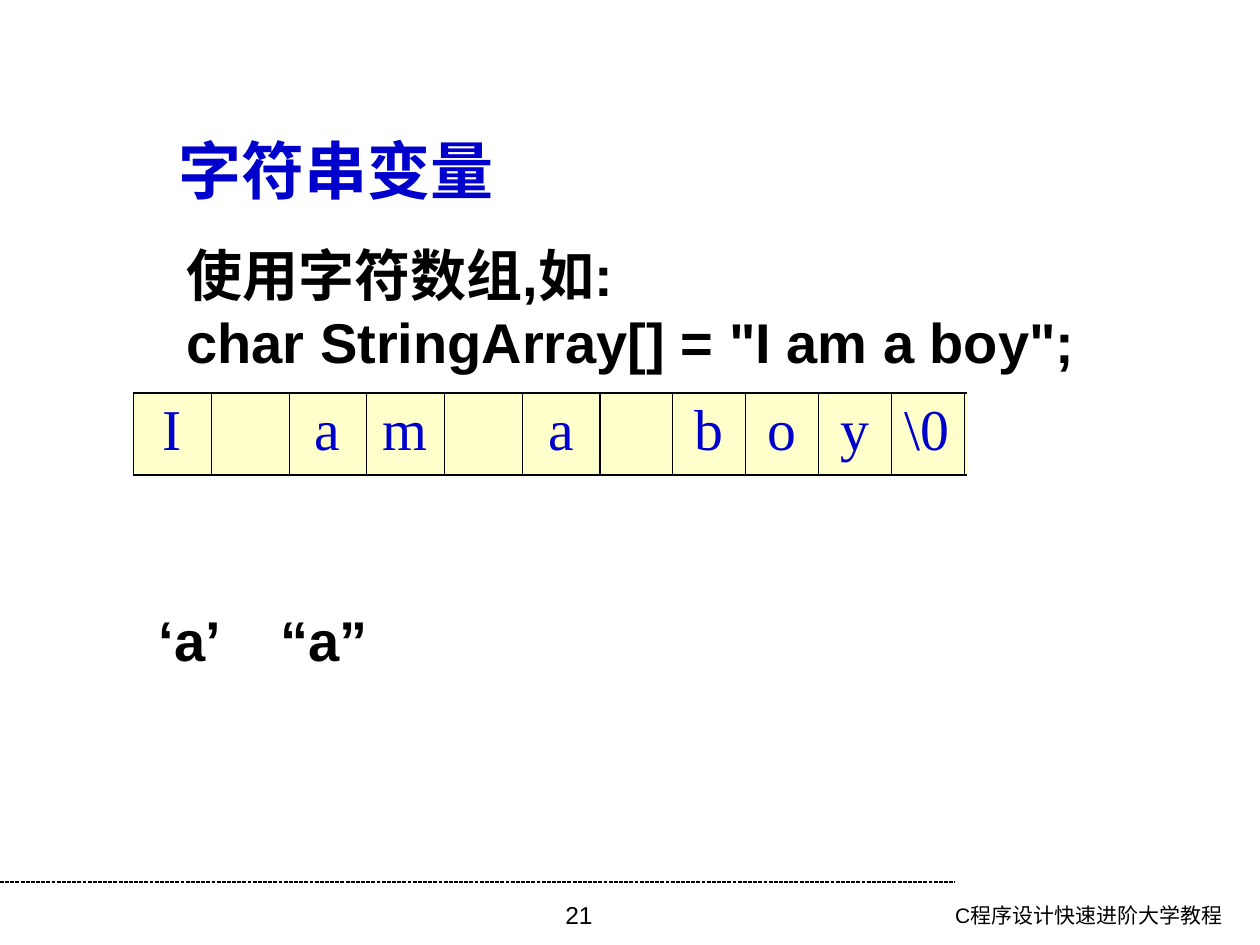
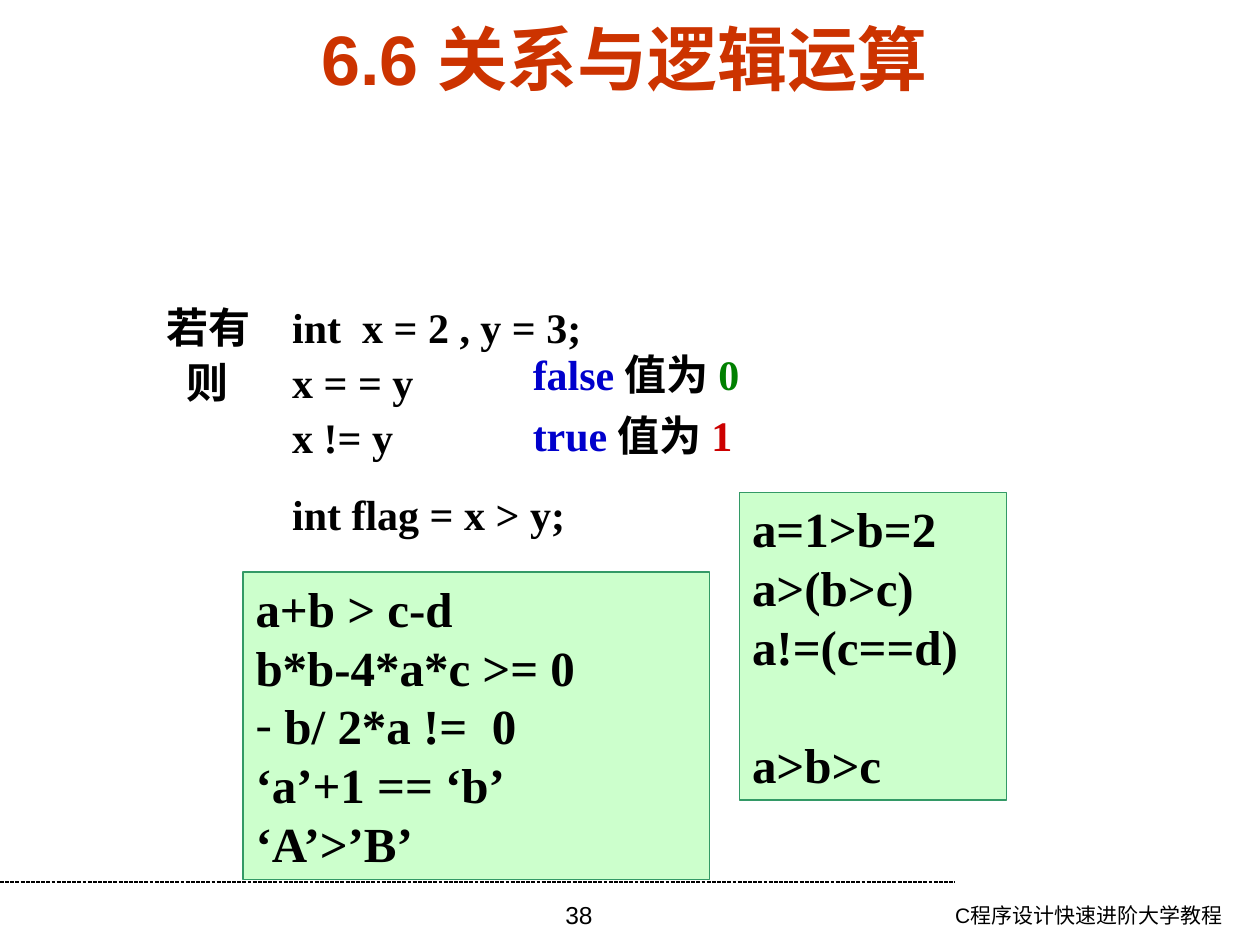
from lxml import etree
from pptx import Presentation
from pptx.dml.color import RGBColor
from pptx.enum.dml import MSO_LINE
from pptx.enum.shapes import MSO_CONNECTOR, MSO_SHAPE
from pptx.enum.text import MSO_ANCHOR, MSO_AUTO_SIZE, PP_ALIGN
from pptx.oxml.ns import qn
from pptx.util import Inches, Pt

BLACK, WHITE, BLUE = "000000", "FFFFFF", "0000CC"
SANS, SERIF = "Arial", "Times New Roman"


def color(hex_code):
    return RGBColor.from_string(hex_code)


def write(frame, paragraphs, size, font=SANS, bold=True, ink=BLACK,
          align=PP_ALIGN.LEFT, anchor=MSO_ANCHOR.TOP, tabs=()):
    """Fill a frame; a paragraph is a string or a list of (text, colour) runs."""
    frame.word_wrap = True
    frame.auto_size = MSO_AUTO_SIZE.NONE
    frame.vertical_anchor = anchor
    for i, content in enumerate(paragraphs):
        paragraph = frame.paragraphs[0] if i == 0 else frame.add_paragraph()
        paragraph.alignment = align
        if tabs:
            stops = etree.SubElement(paragraph._p.get_or_add_pPr(), qn("a:tabLst"))
            for stop in tabs:
                etree.SubElement(stops, qn("a:tab"), pos=str(Inches(stop)), algn="l")
        paragraph.font.size, paragraph.font.name = Pt(size), font
        paragraph.font.bold = bold
        if isinstance(content, str):
            paragraph.text = content
            paragraph.font.color.rgb = color(ink)
        else:
            for text, run_ink in content:
                run = paragraph.add_run()
                run.text = text
                run.font.color.rgb = color(run_ink)


prs = Presentation()
prs.slide_width, prs.slide_height = Inches(10), Inches(7.5)

# Title, footer rule, course name and page number of each slide
pages = [
    ("21", "字符串变量", (1.32, 0.99, 3, 0.7), 36, BLUE, PP_ALIGN.LEFT),
    ("38", "6.6 关系与逻辑运算", (0.43, 0.21, 9.05, 0.5), 40, "CC3300", PP_ALIGN.CENTER),
]
for number, heading, place, size, ink, align in pages:
    slide = prs.slides.add_slide(prs.slide_layouts[5])
    title = slide.shapes.title
    title.left, title.top, title.width, title.height = map(Inches, place)
    write(title.text_frame, [heading], size, ink=ink, align=align, anchor=MSO_ANCHOR.MIDDLE)

    rule = slide.shapes.add_connector(
        MSO_CONNECTOR.STRAIGHT, 0, Inches(7), Inches(7.58), Inches(7))
    rule.line.color.rgb = color(BLACK)
    rule.line.width = Pt(0.75)
    rule.line.dash_style = MSO_LINE.SQUARE_DOT
    etree.SubElement(rule._element.spPr, qn("a:effectLst"))

    course = slide.shapes.add_textbox(Inches(6.57), Inches(7.11), Inches(3.23), Inches(0.39))
    write(course.text_frame, ["C程序设计快速进阶大学教程"], 12, bold=False, align=PP_ALIGN.RIGHT)
    page = slide.shapes.add_textbox(Inches(3.43), Inches(7.09), Inches(2.33), Inches(0.41))
    write(page.text_frame, [number], 14, bold=False, align=PP_ALIGN.CENTER)

strings, relations = prs.slides

# Slide 1: string variables
declaration = strings.shapes.add_textbox(Inches(1.38), Inches(1.86), Inches(7.8), Inches(1.17))
write(declaration.text_frame, ["使用字符数组,如:", 'char StringArray[] = "I am a boy";'], 32)

memory = [
    (1.06, 3.7, ["I", "", "a", "m", "", "a"]),
    (4.76, 3.47, ["", "b", "o", "y", "\\0", ""]),
]
for left, width, characters in memory:
    count = len(characters)
    array = strings.shapes.add_table(
        1, count, Inches(left), Inches(3.12), Inches(width), Inches(0.65)).table
    for i, character in enumerate(characters):
        array.columns[i].width = Inches(width / count)
        cell = array.cell(0, i)
        write(cell.text_frame, [character], 33, SERIF, False, BLUE, PP_ALIGN.CENTER)
        properties = cell._tc.get_or_add_tcPr()
        borders = {"L": 1.08 if i == 0 else 0.45,
                   "R": 1.08 if i == count - 1 else 0.45,
                   "T": 1.08, "B": 1.08}
        for side, points in borders.items():
            edge = etree.SubElement(properties, qn(f"a:ln{side}"), w=str(Pt(points)))
            fill = etree.SubElement(edge, qn("a:solidFill"))
            etree.SubElement(fill, qn("a:srgbClr"), val=BLACK)
        cell.fill.solid()
        cell.fill.fore_color.rgb = color("FFFFCC")

# The white block cuts the array off after the terminator
array_end = strings.shapes.add_shape(
    MSO_SHAPE.RECTANGLE, Inches(7.68), Inches(3.04), Inches(1.97), Inches(1.65))
array_end.shadow.inherit = False
array_end.fill.solid()
array_end.fill.fore_color.rgb = color(WHITE)
array_end.line.color.rgb = color(WHITE)
array_end.line.width = Pt(0.75)

quotes = strings.shapes.add_textbox(Inches(1.16), Inches(4.76), Inches(3.6), Inches(0.64))
write(quotes.text_frame, ["‘a’\t“a”"], 32, tabs=[0.97])

# Slide 2: relational and logical operations
example = relations.shapes.add_textbox(Inches(1.22), Inches(2.34), Inches(6.69), Inches(2.39))
write(example.text_frame,
      ["若有\tint  x = 2 , y = 3;", "\t则\tx = = y", "\t\tx != y", "\t\tint flag = x > y;"],
      24, SERIF, tabs=[0.16, 1])
lines = example.text_frame.paragraphs
lines[1].line_spacing = lines[2].line_spacing = 1.1
lines[3].space_before = Pt(15)

for top, word, value, ink in [(3.2, "true ", "1", "CC0000"), (2.72, "false ", "0", "008000")]:
    result = relations.shapes.add_textbox(Inches(4.13), Inches(top), Inches(2.21), Inches(0.5))
    write(result.text_frame, [[(word, BLUE), ("值为 ", BLACK), (value, ink)]],
          24, SERIF, anchor=MSO_ANCHOR.MIDDLE)

expressions = [
    (1.93, 4.54, 3.7, ["a+b > c-d", "b*b-4*a*c >= 0", "b/ 2*a !=  0", "‘a’+1 == ‘b’", "‘A’>’B’"]),
    (5.87, 3.91, 2.12, ["a=1>b=2", "a>(b>c)", "a!=(c==d)", "a>b>c"]),
]
panels = []
for left, top, width, examples in expressions:
    panel = relations.shapes.add_shape(
        MSO_SHAPE.RECTANGLE, Inches(left), Inches(top), Inches(width), Inches(2.44))
    panel.shadow.inherit = False
    panel.fill.solid()
    panel.fill.fore_color.rgb = color("CCFFCC")
    panel.line.color.rgb = color("339966")
    panel.line.width = Pt(0.75)
    write(panel.text_frame, examples, 28, SERIF)
    panels.append(panel.text_frame.paragraphs)

# The minus sign before b is a hanging bullet
arithmetic, nested = panels
negated = arithmetic[2]._p.get_or_add_pPr()
negated.set("marL", str(Inches(0.23)))
negated.set("indent", str(-Inches(0.23)))
negated.insert(0, etree.Element(qn("a:buFont"), typeface=SERIF))
negated.insert(1, etree.Element(qn("a:buChar"), char="-"))
nested[3].space_before = Pt(34)

prs.save("out.pptx")
